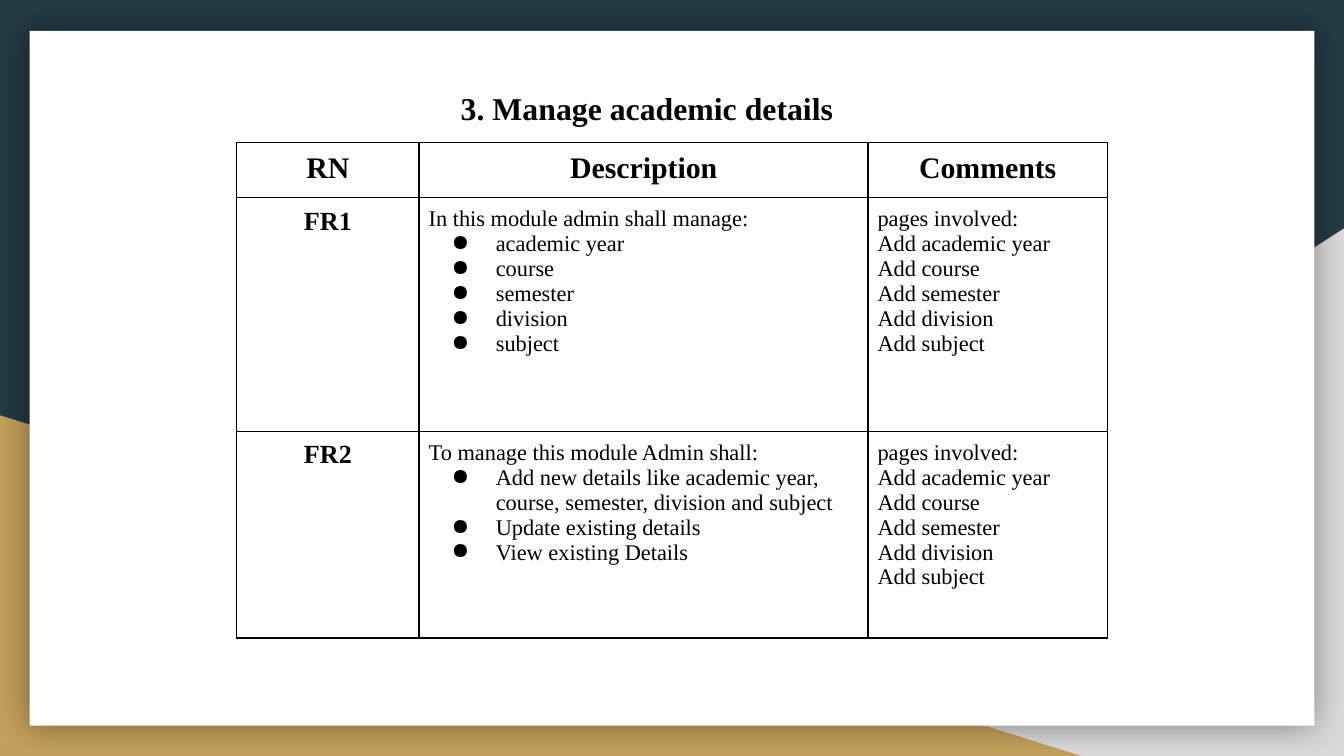
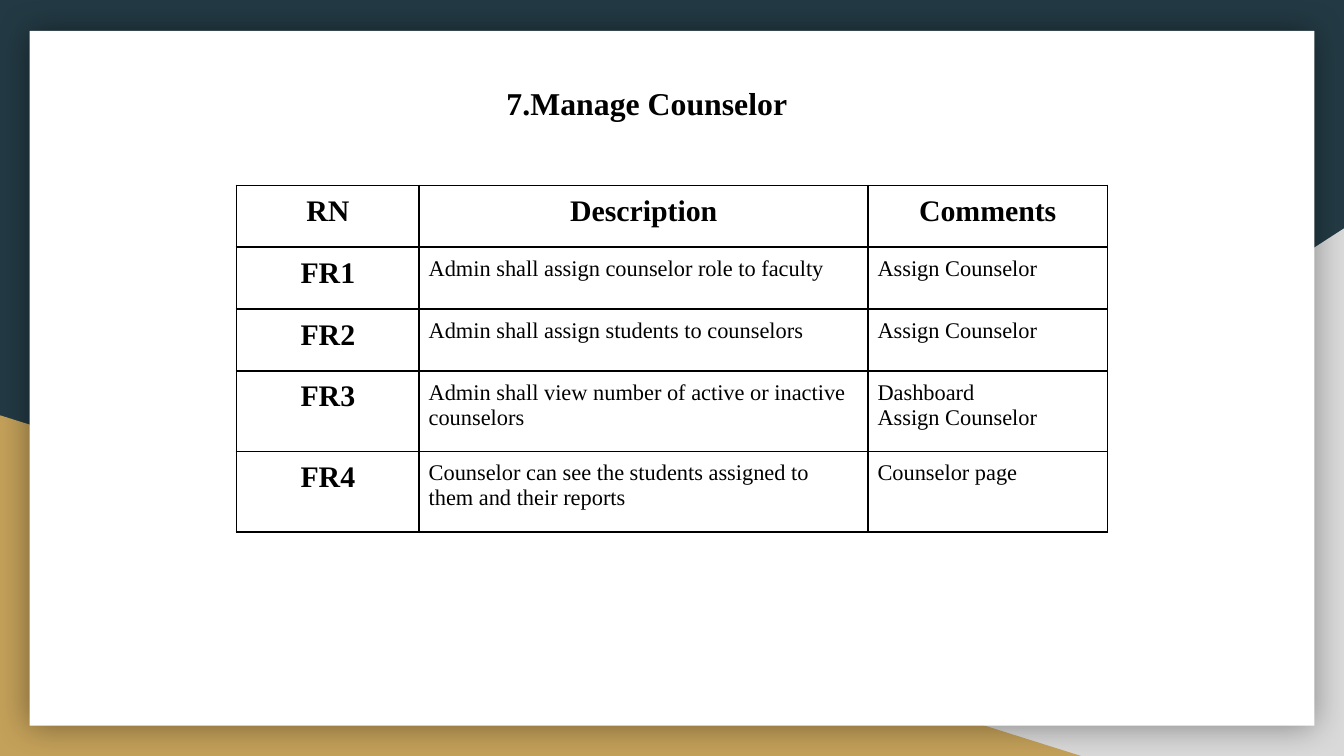
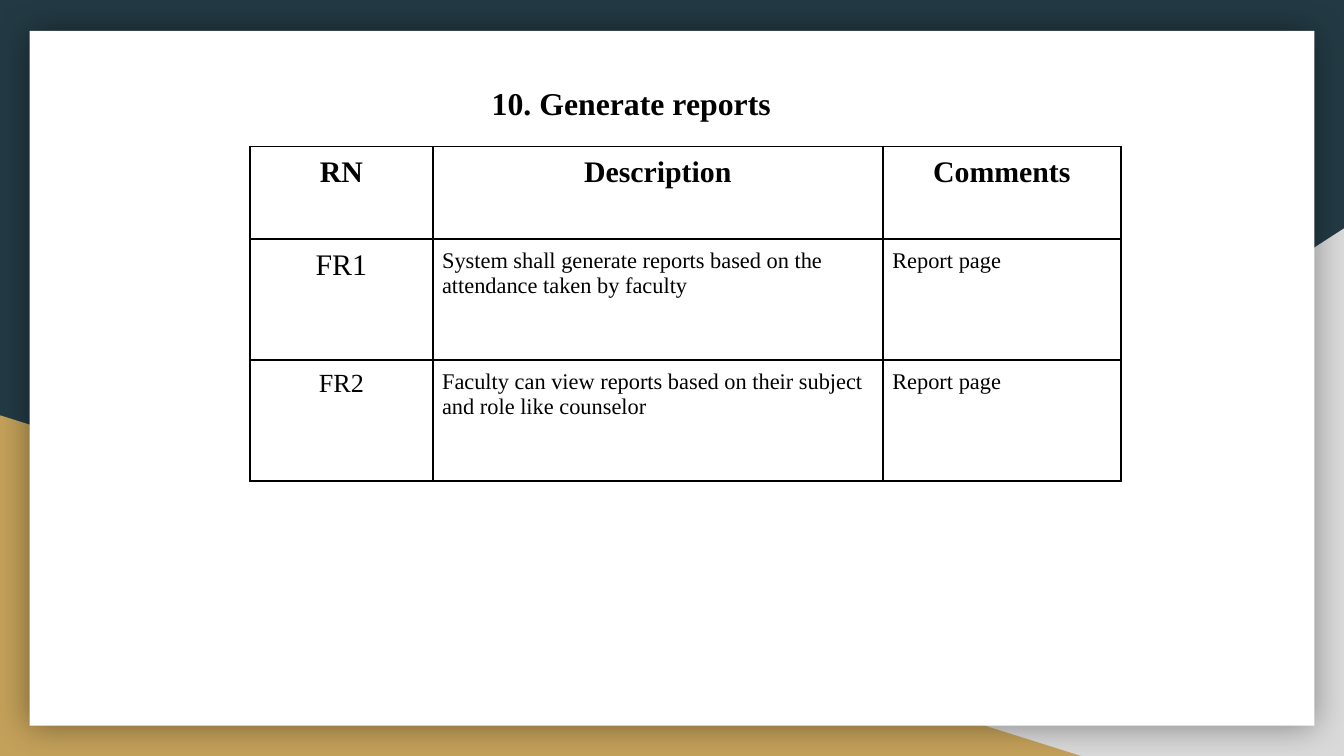
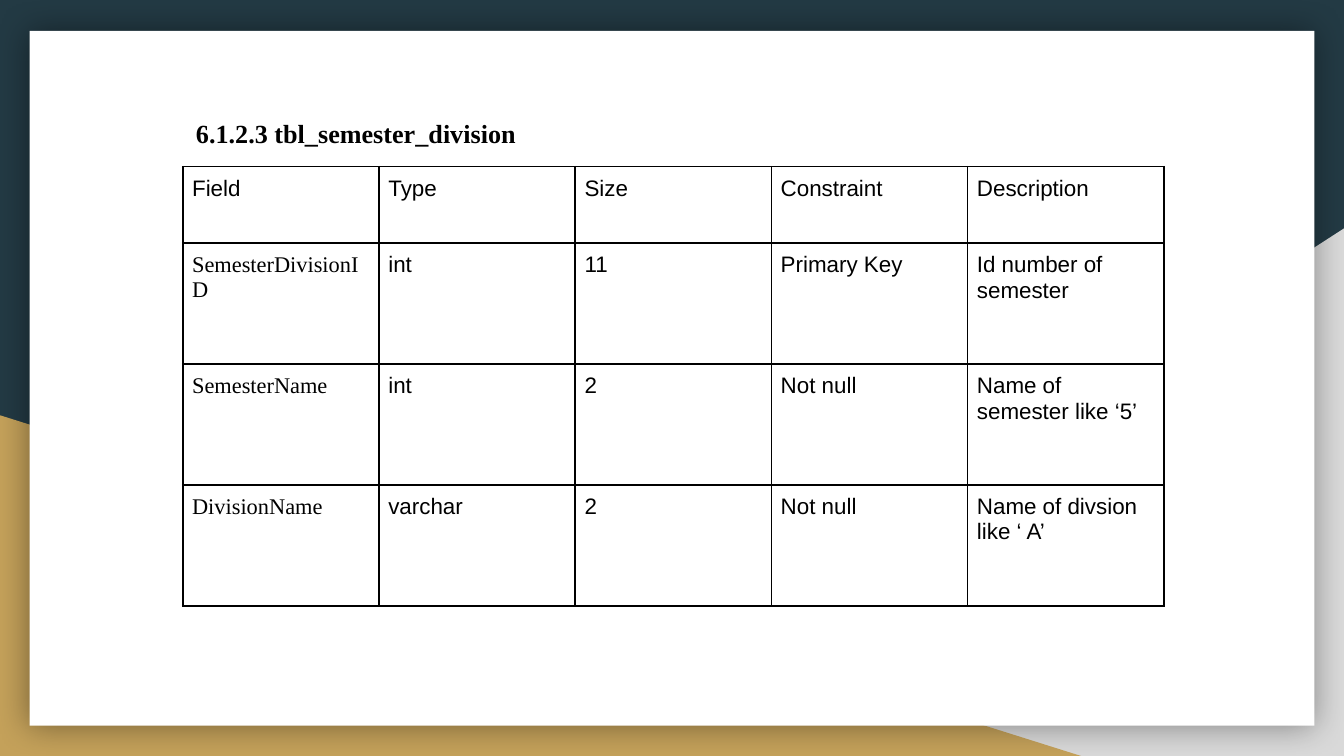
from dataclasses import dataclass

from lxml import etree
from pptx import Presentation
from pptx.dml.color import RGBColor
from pptx.enum.shapes import MSO_SHAPE
from pptx.enum.text import MSO_ANCHOR, PP_ALIGN
from pptx.oxml import parse_xml
from pptx.oxml.ns import nsdecls, qn
from pptx.util import Inches, Pt

NAVY = RGBColor(0x23, 0x3A, 0x44)
GOLD = RGBColor(0xC4, 0xA1, 0x5A)
GRAY = RGBColor(0xD9, 0xD9, 0xD9)
WHITE = RGBColor(0xFF, 0xFF, 0xFF)
BLACK = RGBColor(0x00, 0x00, 0x00)

SERIF = "Times New Roman"
SANS = "Arial"
TITLE_SIZE = 17
TEXT_INSET = 0.1
CELL_INSET = 0.07
REQUIREMENT_COLUMNS = [1.36, 3.34, 1.78]
ACADEMIC_PAGES = ("pages involved:\nAdd academic year\nAdd course\n"
                  "Add semester\nAdd division\nAdd subject")


@dataclass
class Cell:
    """Table cell content: plain lines followed by bulleted lines."""
    text: str
    bullets: tuple = ()
    size: int = 12
    bold: bool = False
    font: str = SERIF
    centered: bool = False


def label(text, size=16, bold=True):
    return Cell(text, size=size, bold=bold, centered=True)


def requirement(name, description, comments, size=16, bold=True, bullets=()):
    return [label(name, size, bold), Cell(description, bullets), Cell(comments)]


def requirement_header():
    return [label(name) for name in ("RN", "Description", "Comments")]


def style_font(paragraph, name, size, bold):
    for run in paragraph.runs:
        run.font.name = name
        run.font.size = Pt(size)
        run.font.bold = bold
        run.font.color.rgb = BLACK


def set_indent(paragraph, left, first_line):
    properties = paragraph._p.get_or_add_pPr()
    properties.set("marL", str(Inches(left)))
    properties.set("indent", str(Inches(first_line)))
    return properties


def add_bullet(paragraph):
    properties = set_indent(paragraph, 0.5, -0.33)
    color = etree.SubElement(properties, qn("a:buClr"))
    etree.SubElement(color, qn("a:srgbClr"), val=str(BLACK))
    etree.SubElement(properties, qn("a:buChar"), char="●")


def add_panel(slide, preset, color, left, top, width, height):
    panel = slide.shapes.add_shape(
        preset, Inches(left), Inches(top), Inches(width), Inches(height))
    panel.shadow.inherit = False
    panel.fill.solid()
    panel.fill.fore_color.rgb = color
    panel.line.fill.background()
    return panel


def add_glow(panel):
    """Give the panel a soft shadow spreading evenly on all sides."""
    effects = panel._element.spPr.find(qn("a:effectLst"))
    effects.append(parse_xml(
        f'<a:outerShdw {nsdecls("a")} blurRad="{Pt(18)}" dist="0" dir="0" '
        'algn="ctr" rotWithShape="0"><a:srgbClr val="000000">'
        '<a:alpha val="40000"/></a:srgbClr></a:outerShdw>'))


def add_page(deck):
    """Add a slide with the shared triangles and white sheet."""
    page = deck.slides.add_slide(deck.slide_layouts[6])
    triangle = add_panel(page, MSO_SHAPE.RIGHT_TRIANGLE, GRAY, 3.92, 1.7, 6.08, 3.93)
    triangle._element.spPr.find(qn("a:xfrm")).set("flipH", "1")
    add_panel(page, MSO_SHAPE.RIGHT_TRIANGLE, GOLD, 0, 3.09, 8.06, 2.54)
    add_glow(add_panel(page, MSO_SHAPE.RECTANGLE, WHITE, 0.22, 0.23, 9.56, 5.17))
    return page


def add_title(page, text, left, top, width, height, margin=0, first_line=0,
              size=TITLE_SIZE, spacing=1.5, anchor=MSO_ANCHOR.TOP):
    box = page.shapes.add_textbox(
        Inches(left), Inches(top), Inches(width), Inches(height))
    frame = box.text_frame
    frame.word_wrap = True
    frame.vertical_anchor = anchor
    frame.margin_left = frame.margin_right = Inches(TEXT_INSET)
    frame.margin_top = frame.margin_bottom = Inches(TEXT_INSET)
    frame.text = text
    paragraph = frame.paragraphs[0]
    paragraph.line_spacing = spacing
    set_indent(paragraph, margin, first_line)
    style_font(paragraph, SERIF, size, True)


def add_borders(cell):
    properties = cell._tc.get_or_add_tcPr()
    for position, side in enumerate(("lnL", "lnR", "lnT", "lnB")):
        properties.insert(position, parse_xml(
            f'<a:{side} {nsdecls("a")} w="{Pt(1)}"><a:solidFill>'
            f'<a:srgbClr val="{BLACK}"/></a:solidFill></a:{side}>'))


def fill_cell(cell, content):
    cell.fill.background()
    add_borders(cell)
    cell.margin_left = cell.margin_right = Inches(CELL_INSET)
    cell.margin_top = cell.margin_bottom = Inches(CELL_INSET)
    frame = cell.text_frame
    frame.text = content.text
    for item in content.bullets:
        paragraph = frame.add_paragraph()
        paragraph.text = item
        add_bullet(paragraph)
    for paragraph in frame.paragraphs:
        if content.centered:
            paragraph.alignment = PP_ALIGN.CENTER
        style_font(paragraph, content.font, content.size, content.bold)


def add_grid(page, left, top, widths, heights, rows):
    table = page.shapes.add_table(
        len(heights), len(widths), Inches(left), Inches(top),
        Inches(sum(widths)), Inches(sum(heights))).table
    table.first_row = False
    table.horz_banding = False
    for column, width in zip(table.columns, widths):
        column.width = Inches(width)
    for row, height, contents in zip(table.rows, heights, rows):
        row.height = Inches(height)
        for cell, content in zip(row.cells, contents):
            fill_cell(cell, content)


def build_academic_details(deck):
    page = add_page(deck)
    add_title(page, "3. Manage academic details", 1.33, 0.42, 7.34, 0.49, 1.5, 0.5)
    add_grid(page, 1.76, 1.06, REQUIREMENT_COLUMNS, [0.41, 1.74, 1.54], [
        requirement_header(),
        requirement("FR1", "In this module admin shall manage:", ACADEMIC_PAGES, 14,
                    bullets=("academic year", "course", "semester", "division",
                             "subject")),
        requirement("FR2", "To manage this module Admin shall:", ACADEMIC_PAGES, 14,
                    bullets=("Add new details like academic year, course, semester, "
                             "division and subject",
                             "Update existing details", "View existing Details")),
    ])


def build_counselor(deck):
    page = add_page(deck)
    add_title(page, "7.Manage Counselor", 1.17, 0.38, 7.38, 0.37, 2, 0.5)
    add_grid(page, 1.76, 1.38, REQUIREMENT_COLUMNS, [0.46] * 3 + [0.6] * 2, [
        requirement_header(),
        requirement("FR1", "Admin shall assign counselor role to faculty",
                    "Assign Counselor"),
        requirement("FR2", "Admin shall assign students to counselors",
                    "Assign Counselor"),
        requirement("FR3", "Admin shall view number of active or inactive counselors",
                    "Dashboard\nAssign Counselor"),
        requirement("FR4", "Counselor can see the students assigned to them "
                    "and their reports", "Counselor page"),
    ])


def build_reports(deck):
    page = add_page(deck)
    add_title(page, "10. Generate reports", 1.06, 0.38, 7.49, 0.37, 2, 0.5)
    add_grid(page, 1.86, 1.09, [1.36, 3.35, 1.77], [0.69, 0.9, 0.9], [
        requirement_header(),
        requirement("FR1", "System shall generate reports based on the attendance "
                    "taken by faculty", "Report page", bold=False),
        requirement("FR2", "Faculty can view reports based on their subject and role "
                    "like counselor", "Report page", 14, False),
    ])


def build_semester_division(deck):
    page = add_page(deck)
    header = ["Field", "Type", "Size", "Constraint", "Description"]
    fields = [
        ["SemesterDivisionID", "int", "11", "Primary Key", "Id number of semester"],
        ["SemesterName", "int", "2", "Not null", "Name of semester like ‘5’"],
        ["DivisionName", "varchar", "2", "Not null", "Name of divsion like ‘ A’"],
    ]
    rows = [[Cell(text, font=SANS) for text in header]]
    for name, *details in fields:
        rows.append([Cell(name)] + [Cell(text, font=SANS) for text in details])
    add_grid(page, 1.36, 1.24, [1.46] * 5, [0.57] + [0.9] * 3, rows)
    add_title(page, "6.1.2.3 tbl_semester_division", 1.36, 0, 3.28, 1.95,
              size=14, spacing=1.15, anchor=MSO_ANCHOR.MIDDLE)


def main():
    deck = Presentation()
    deck.slide_width = Inches(10)
    deck.slide_height = Inches(5.625)
    background = deck.slide_master.background.fill
    background.solid()
    background.fore_color.rgb = NAVY
    build_academic_details(deck)
    build_counselor(deck)
    build_reports(deck)
    build_semester_division(deck)
    deck.save("out.pptx")


if __name__ == "__main__":
    main()
